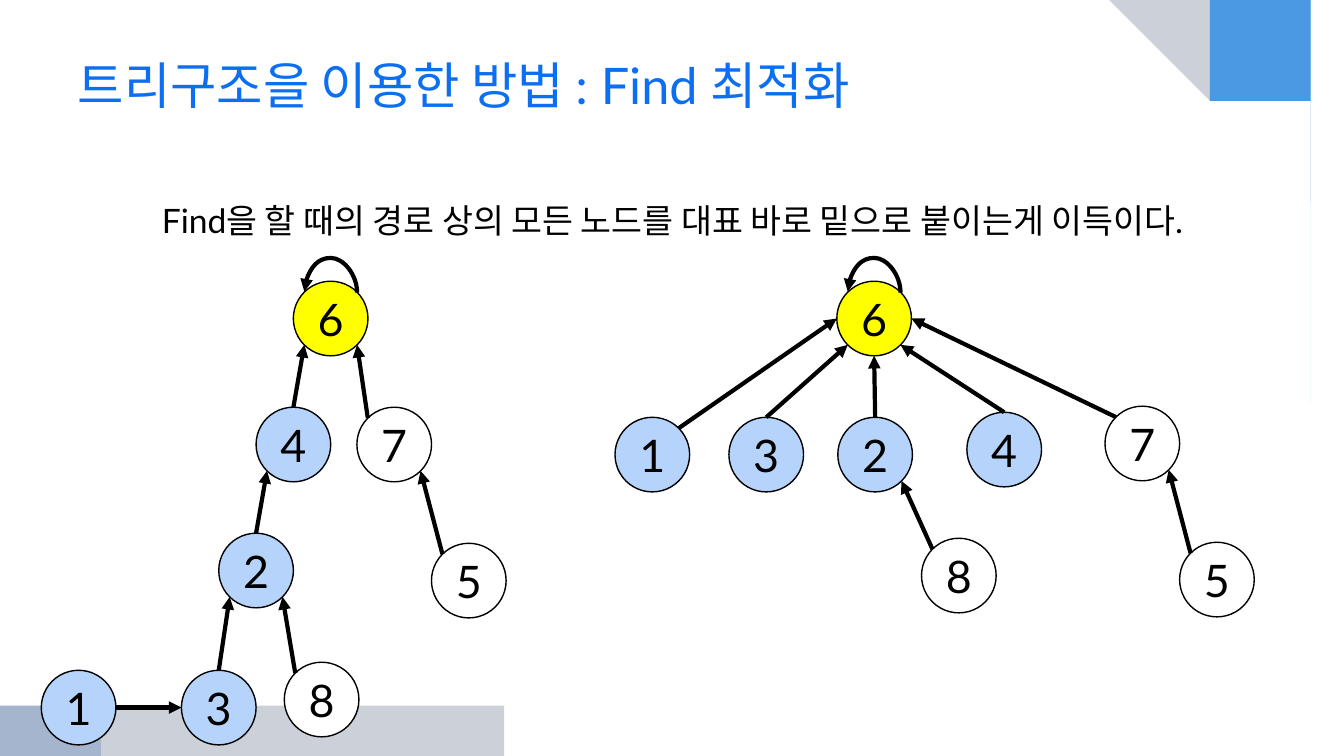
from dataclasses import dataclass
from math import cos, radians, sin

from lxml.etree import SubElement
from pptx import Presentation
from pptx.dml.color import RGBColor
from pptx.enum.shapes import MSO_CONNECTOR, MSO_SHAPE
from pptx.enum.text import MSO_ANCHOR, MSO_AUTO_SIZE, PP_ALIGN
from pptx.oxml.ns import qn
from pptx.util import Inches, Pt

# ---- Content ----
TITLE = "트리구조을 이용한 방법 : Find 최적화"
MESSAGE = "Find을 할 때의 경로 상의 모든 노드를 대표 바로 밑으로 붙이는게 이득이다."

PATH = {"1", "2", "3", "4"}  # nodes met by the find
ROOT = "6"

# Circle sites, counter-clockwise from the top
TOP, TOP_LEFT, LEFT, BOTTOM_LEFT, BOTTOM, BOTTOM_RIGHT, RIGHT, TOP_RIGHT = range(8)

# Each tree: node label -> left and top; edges: child, its site, parent, its site
TREES = [
    {
        "nodes": {"6": (2.91, 2.79), "4": (2.54, 4.04), "7": (3.54, 4.04), "2": (2.17, 5.29),
                  "3": (1.8, 6.65), "1": (0.41, 6.65), "8": (2.82, 6.57), "5": (4.28, 5.39)},
        "edges": [("4", TOP, "6", BOTTOM_LEFT), ("7", TOP_LEFT, "6", BOTTOM_RIGHT),
                  ("2", TOP, "4", BOTTOM_LEFT), ("3", TOP, "2", BOTTOM_LEFT),
                  ("1", RIGHT, "3", LEFT), ("8", TOP_LEFT, "2", BOTTOM_RIGHT),
                  ("5", TOP_LEFT, "7", BOTTOM_RIGHT)],
    },
    {
        "nodes": {"6": (8.3, 2.79), "4": (9.59, 4.09), "7": (10.96, 4.03), "2": (8.31, 4.14),
                  "3": (7.23, 4.14), "1": (6.1, 4.14), "8": (9.14, 5.34), "5": (11.7, 5.38)},
        "edges": [("4", TOP, "6", BOTTOM_RIGHT), ("7", TOP_LEFT, "6", RIGHT),
                  ("2", TOP, "6", BOTTOM), ("3", TOP, "6", BOTTOM_LEFT),
                  ("1", TOP_RIGHT, "6", LEFT), ("8", TOP_LEFT, "2", BOTTOM_RIGHT),
                  ("5", TOP_LEFT, "7", BOTTOM_RIGHT)],
    },
]

# Corner waves: colour, opacity in percent, slide corner, points along the curved edge
WAVES = [
    ("00B1E9", 45, (13.33, 0),
     [(11.89, 0), (12.1, 0.14), (12.34, 0.38), (12.56, 0.69), (12.76, 1.07), (12.94, 1.54),
      (13.1, 2.14), (13.21, 2.74), (13.3, 3.44), (13.33, 4.08)]),
    ("021741", 20, (13.33, 0),
     [(8.89, 0), (9.75, 0.08), (10.49, 0.2), (11.12, 0.38), (11.75, 0.63), (12.25, 0.91),
      (12.69, 1.24), (12.99, 1.56), (13.19, 1.84), (13.33, 2.15)]),
    ("247FF4", 49, (13.33, 0),
     [(8.89, 0), (9.75, 0.05), (10.49, 0.15), (11.24, 0.3), (11.85, 0.49), (12.39, 0.72),
      (12.79, 0.96), (13.06, 1.19), (13.23, 1.38), (13.33, 1.55)]),
    ("021741", 20, (0, 7.5),
     [(0, 6.08), (0.16, 6.28), (0.42, 6.49), (0.85, 6.74), (1.39, 6.96), (2, 7.14),
      (2.76, 7.3), (3.52, 7.4), (4.22, 7.46), (5, 7.5)]),
    ("084AA1", 20, (0, 7.5),
     [(1.48, 7.5), (1.26, 7.41), (1.01, 7.23), (0.79, 7.01), (0.59, 6.74), (0.4, 6.4),
      (0.23, 5.97), (0.1, 5.45), (0.03, 4.93), (0, 4.58)]),
]


@dataclass(frozen=True)
class Theme:
    font: str = "Lato"
    title: str = "0C6FF2"
    ink: str = "000000"
    root: str = "FFFF00"
    path_node: str = "B6D4FB"
    plain_node: str = "FFFFFF"
    title_size: int = 36
    message_size: int = 24
    node_size: int = 32
    outline: float = 1
    arrow: float = 3


THEME = Theme()
DIAMETER = 0.74
CURVE_STEPS = 5


def style_text(para, size, color, align):
    para.alignment = align
    for span in para.runs:
        span.font.name = THEME.font
        span.font.size = Pt(size)
        span.font.color.rgb = RGBColor.from_string(color)


def place(box, left, top, width, height):
    box.left, box.top = Inches(left), Inches(top)
    box.width, box.height = Inches(width), Inches(height)


def smooth(points):
    """Catmull-Rom curve through the points."""
    padded = [points[0], *points, points[-1]]
    curve = []
    for a, b, c, d in zip(padded, padded[1:], padded[2:], padded[3:]):
        for step in range(CURVE_STEPS):
            t = step / CURVE_STEPS
            curve.append(tuple(
                (2 * q + (r - p) * t + (2 * p - 5 * q + 4 * r - s) * t**2
                 + (3 * q - p - 3 * r + s) * t**3) / 2
                for p, q, r, s in zip(a, b, c, d)))
    return curve + [points[-1]]


def add_wave(page, color, opacity, corner, edge):
    builder = page.shapes.build_freeform(*corner, scale=Inches(1))
    builder.add_line_segments(smooth(edge), close=True)
    wave = builder.convert_to_shape()
    wave.shadow.inherit = False
    wave.fill.solid()
    wave.fill.fore_color.rgb = RGBColor.from_string(color)
    wave.line.fill.background()
    tint = wave.fill._xPr.find(qn("a:solidFill"))[0]
    SubElement(tint, qn("a:alpha")).set("val", str(opacity * 1000))
    return wave


def add_node(page, label, left, top):
    node = page.shapes.add_shape(MSO_SHAPE.OVAL, Inches(left), Inches(top),
                                 Inches(DIAMETER), Inches(DIAMETER))
    fill = THEME.root if label == ROOT else THEME.path_node if label in PATH else THEME.plain_node
    node.shadow.inherit = False
    node.fill.solid()
    node.fill.fore_color.rgb = RGBColor.from_string(fill)
    node.line.color.rgb = RGBColor.from_string(THEME.ink)
    node.line.width = Pt(THEME.outline)
    node.text_frame.text = label
    node.text_frame.vertical_anchor = MSO_ANCHOR.MIDDLE
    style_text(node.text_frame.paragraphs[0], THEME.node_size, THEME.ink, PP_ALIGN.CENTER)


def site_point(corner, site):
    radius, angle = DIAMETER / 2, radians(90 + 45 * site)
    return (corner[0] + radius + radius * cos(angle), corner[1] + radius - radius * sin(angle))


def add_arrow(page, kind, start, end):
    arrow = page.shapes.add_connector(kind, *(Inches(value) for value in (*start, *end)))
    arrow.line.color.rgb = RGBColor.from_string(THEME.ink)
    arrow.line.width = Pt(THEME.arrow)
    SubElement(arrow.line._get_or_add_ln(), qn("a:tailEnd")).set("type", "triangle")
    SubElement(arrow._element.spPr, qn("a:effectLst"))
    return arrow


def add_self_loop(page, corner):
    """Curve over the root, from its top right to its top left."""
    right, left = site_point(corner, TOP_RIGHT), site_point(corner, TOP_LEFT)
    middle, span, depth, rise = corner[0] + DIAMETER / 2, right[0] - left[0], 0.01, 0.35
    loop = add_arrow(page, MSO_CONNECTOR.CURVE,
                     (middle - depth / 2, right[1] - span / 2),
                     (middle + depth / 2, right[1] + span / 2))
    frame = loop._element.spPr.find(qn("a:xfrm"))
    frame.set("rot", str(270 * 60000))
    frame.set("flipV", "1")
    shape = loop._element.spPr.find(qn("a:prstGeom"))
    guides = shape.find(qn("a:avLst"))
    if guides is None:
        guides = SubElement(shape, qn("a:avLst"))
    guide = SubElement(guides, qn("a:gd"))
    guide.set("name", "adj1")
    guide.set("fmla", f"val {round(rise / depth * 100000)}")


def main():
    deck = Presentation()
    deck.slide_width, deck.slide_height = Inches(13.33), Inches(7.5)
    page = deck.slides.add_slide(deck.slide_layouts[1])

    # Corner waves, behind the placeholders
    first = page.shapes.title._element
    for wave in WAVES:
        first.addprevious(add_wave(page, *wave)._element)

    # Title
    title = page.shapes.title
    place(title, 0.67, 0.33, 12, 1.01)
    title.text_frame.text = TITLE
    title.text_frame.vertical_anchor = MSO_ANCHOR.MIDDLE
    style_text(title.text_frame.paragraphs[0], THEME.title_size, THEME.title, PP_ALIGN.LEFT)

    # Message
    body = page.placeholders[1]
    place(body, 0.67, 1.48, 12, 1.16)
    frame = body.text_frame
    frame.text = MESSAGE
    frame.auto_size = MSO_AUTO_SIZE.NONE
    frame.vertical_anchor = MSO_ANCHOR.TOP
    frame.margin_top = Inches(0.5)
    para = frame.paragraphs[0]
    para.space_before = Pt(0)
    settings = para._p.get_or_add_pPr()
    settings.set("marL", "0")
    settings.set("indent", "0")
    SubElement(settings, qn("a:buNone"))
    style_text(para, THEME.message_size, THEME.ink, PP_ALIGN.CENTER)

    # Trees before and after the find
    for tree in TREES:
        nodes = tree["nodes"]
        for label, corner in nodes.items():
            add_node(page, label, *corner)
        for child, child_site, parent, parent_site in tree["edges"]:
            add_arrow(page, MSO_CONNECTOR.STRAIGHT, site_point(nodes[child], child_site),
                      site_point(nodes[parent], parent_site))
        add_self_loop(page, nodes[ROOT])

    deck.save("out.pptx")


if __name__ == "__main__":
    main()
